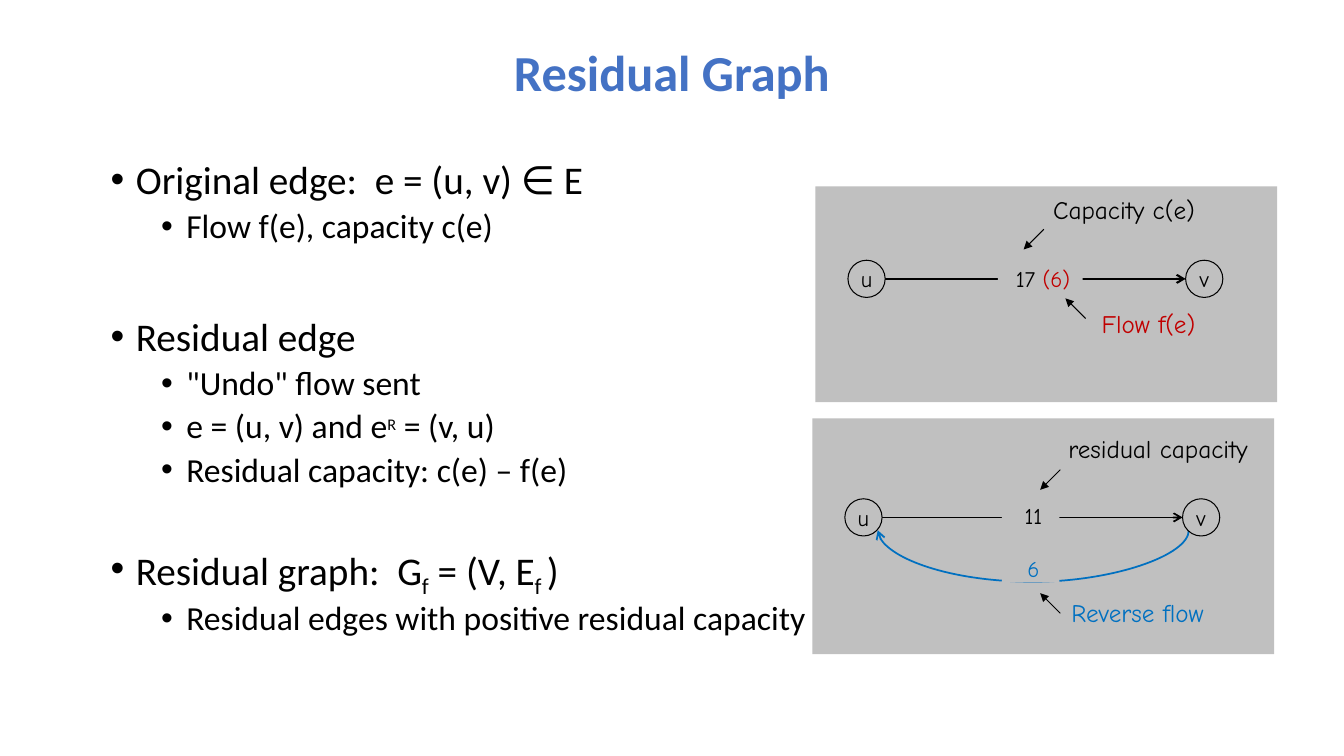
from dataclasses import dataclass

from lxml.etree import SubElement
from pptx import Presentation
from pptx.dml.color import RGBColor
from pptx.enum.shapes import MSO_CONNECTOR, MSO_SHAPE
from pptx.enum.text import MSO_ANCHOR, PP_ALIGN
from pptx.oxml.ns import qn
from pptx.util import Pt


@dataclass(frozen=True)
class Theme:
    title: RGBColor = RGBColor(0x44, 0x72, 0xC4)
    ink: RGBColor = RGBColor(0, 0, 0)
    panel: RGBColor = RGBColor(0xC0, 0xC0, 0xC0)
    flow: RGBColor = RGBColor(0xC0, 0, 0)
    reverse: RGBColor = RGBColor(0, 0x70, 0xC0)
    body_font: str = "Calibri"
    graph_font: str = "Comic Neue"
    title_size: int = 36
    topic_size: int = 28
    detail_size: int = 24
    superscript_size: int = 20
    label_size: int = 18
    node_size: int = 16


theme = Theme()


def write_graph_text(shape, pieces, size, align):
    """Write (text, colour) pieces as one paragraph in the graph font."""
    para = shape.text_frame.paragraphs[0]
    para.alignment = align
    para.font.name = theme.graph_font
    para.font.size = Pt(size)
    for text, color in pieces:
        span = para.add_run()
        span.text = text
        span.font.color.rgb = color


def draw_arrow(shapes, kind, ends, color, width, head):
    arrow = shapes.add_connector(kind, *(Pt(value) for value in ends))
    arrow.line.color.rgb = color
    arrow.line.width = Pt(width)
    SubElement(arrow.line._get_or_add_ln(), qn("a:tailEnd"), type=head)
    SubElement(arrow._element.spPr, qn("a:effectLst"))
    return arrow


deck = Presentation()
deck.slide_width, deck.slide_height = Pt(960), Pt(540)
page = deck.slides.add_slide(deck.slide_layouts[5])

title = page.shapes.title
title.left, title.top, title.width, title.height = Pt(66), Pt(28.8), Pt(828), Pt(49.7)
title.text_frame.text = "Residual Graph"
title.text_frame.vertical_anchor = MSO_ANCHOR.MIDDLE
para = title.text_frame.paragraphs[0]
para.alignment = PP_ALIGN.CENTER
para.line_spacing = 0.9
para.font.name = theme.body_font
para.font.size = Pt(theme.title_size)
para.font.bold = True
para.font.color.rgb = theme.title

# Each outline row: level, space before, (text, baseline shift in percent) pieces
outline = [
    (0, 0, [("Original edge:  e = (u, v) ∈ E", 0)]),
    (1, 5, [("Flow f(e), capacity c(e)", 0)]),
    (0, 51, [("Residual edge", 0)]),
    (1, 5, [('"Undo" flow sent', 0)]),
    (1, 5, [("e = (u, v) and e", 0), ("R", 30), (" = (v, u)", 0)]),
    (1, 5, [("Residual capacity: c(e) – f(e)", 0)]),
    (0, 41, [("Residual graph:  G", 0), ("f", -25), (" = (V, E", 0), ("f ", -25), (")", 0)]),
    (1, 5, [("Residual edges with positive residual capacity", 0)]),
]
body = page.shapes.add_textbox(Pt(72), Pt(110.9), Pt(530), Pt(391)).text_frame
body.word_wrap = True
for row, (level, space, pieces) in enumerate(outline):
    para = body.add_paragraph() if row else body.paragraphs[0]
    para.level = level
    para.line_spacing = 0.9
    para.space_before = Pt(space)
    properties = para._p.get_or_add_pPr()
    properties.set("marL", str(Pt(18 + 36 * level)))
    properties.set("indent", str(Pt(-18)))
    SubElement(properties, qn("a:buFont"), typeface="Arial")
    SubElement(properties, qn("a:buChar"), char="•")
    para.font.name = theme.body_font
    para.font.size = Pt(theme.detail_size if level else theme.topic_size)
    para.font.color.rgb = theme.ink
    for text, shift in pieces:
        span = para.add_run()
        span.text = text
        if shift:
            span.font._element.set("baseline", str(shift * 1000))
        if shift > 0:
            span.font.size = Pt(theme.superscript_size)

# Values: left, top, width, height, pieces. Labels: left, top, width, text, colour.
panels = [
    dict(
        frame=(582.5, 133.2, 329.8, 154), node_top=185.9, edge_width=1.5, curve=None,
        values=[(712.8, 189.4, 60.5, 19.4, [("17 ", theme.ink), ("(6)", theme.flow)])],
        labels=[(745.2, 135.4, 126.7, "Capacity c(e)", theme.ink),
                (779.8, 216.7, 90.7, "Flow f(e)", theme.flow)],
        pointers=[(775.4, 227.5, 761, 213.1), (745.6, 163.8, 731.2, 178.2)],
    ),
    dict(
        frame=(580.3, 298.8, 329.8, 168.5), node_top=356.3, edge_width=1.25,
        curve=(738, 267.6, 738.15, 489.8),
        values=[(715.7, 358.6, 41, 27.4, [("11", theme.ink)]),
                (715.7, 396.7, 41, 19.4, [("6", theme.reverse)])],
        labels=[(756, 306, 159.8, "residual capacity", theme.ink),
                (758.2, 423.4, 159.8, "Reverse flow", theme.reverse)],
        pointers=[(757.4, 335.5, 743, 349.9), (757.4, 438.1, 743, 423.7)],
    ),
]
node_diameter, node_inset, node_gap = 26.6, 23.2, 241.2

for panel in panels:
    shapes = page.shapes.add_group_shape().shapes
    left = panel["frame"][0] + node_inset
    node_top = panel["node_top"]
    nodes = [(left + node_gap * index, node_top, node_diameter, node_diameter, [(name, theme.ink)])
             for index, name in enumerate("uv")]

    background = shapes.add_shape(MSO_SHAPE.RECTANGLE, *(Pt(value) for value in panel["frame"]))
    background.shadow.inherit = False
    background.fill.solid()
    background.fill.fore_color.rgb = theme.panel
    background.line.fill.background()

    middle = node_top + node_diameter / 2
    draw_arrow(shapes, MSO_CONNECTOR.STRAIGHT,
               (left + node_diameter, middle, left + node_gap, middle),
               theme.ink, panel["edge_width"], "arrow")
    if panel["curve"]:
        # A quarter turn lays the tall, thin connector on its side below the edge
        curve = draw_arrow(shapes, MSO_CONNECTOR.CURVE, panel["curve"], theme.reverse, 1.25, "arrow")
        curve._element.spPr.find(qn("a:xfrm")).set("rot", "5400000")
        guides = curve._element.spPr.find(qn("a:prstGeom")).get_or_add_avLst()
        SubElement(guides, qn("a:gd"), name="adj1", fmla="val 26050100")

    for kind, boxes in ((MSO_SHAPE.OVAL, nodes), (MSO_SHAPE.RECTANGLE, panel["values"])):
        for *place, pieces in boxes:
            box = shapes.add_shape(kind, *(Pt(value) for value in place))
            box.shadow.inherit = False
            box.fill.solid()
            box.fill.fore_color.rgb = theme.panel
            frame = box.text_frame
            frame.word_wrap = kind == MSO_SHAPE.RECTANGLE
            if kind == MSO_SHAPE.OVAL:
                box.line.color.rgb = theme.ink
                box.line.width = Pt(0.75)
                frame.vertical_anchor = MSO_ANCHOR.MIDDLE
            else:
                box.line.fill.background()
                frame.vertical_anchor = MSO_ANCHOR.TOP
                frame.margin_left = Pt(4)
                frame.margin_top = frame.margin_right = frame.margin_bottom = 0
            write_graph_text(box, pieces, theme.node_size, PP_ALIGN.CENTER)

    for left, top, width, text, color in panel["labels"]:
        label = shapes.add_textbox(Pt(left), Pt(top), Pt(width), Pt(28.8))
        label.text_frame.word_wrap = True
        write_graph_text(label, [(text, color)], theme.label_size, PP_ALIGN.LEFT)
    for ends in panel["pointers"]:
        draw_arrow(shapes, MSO_CONNECTOR.STRAIGHT, ends, theme.ink, 0.75, "triangle")

deck.save("out.pptx")
